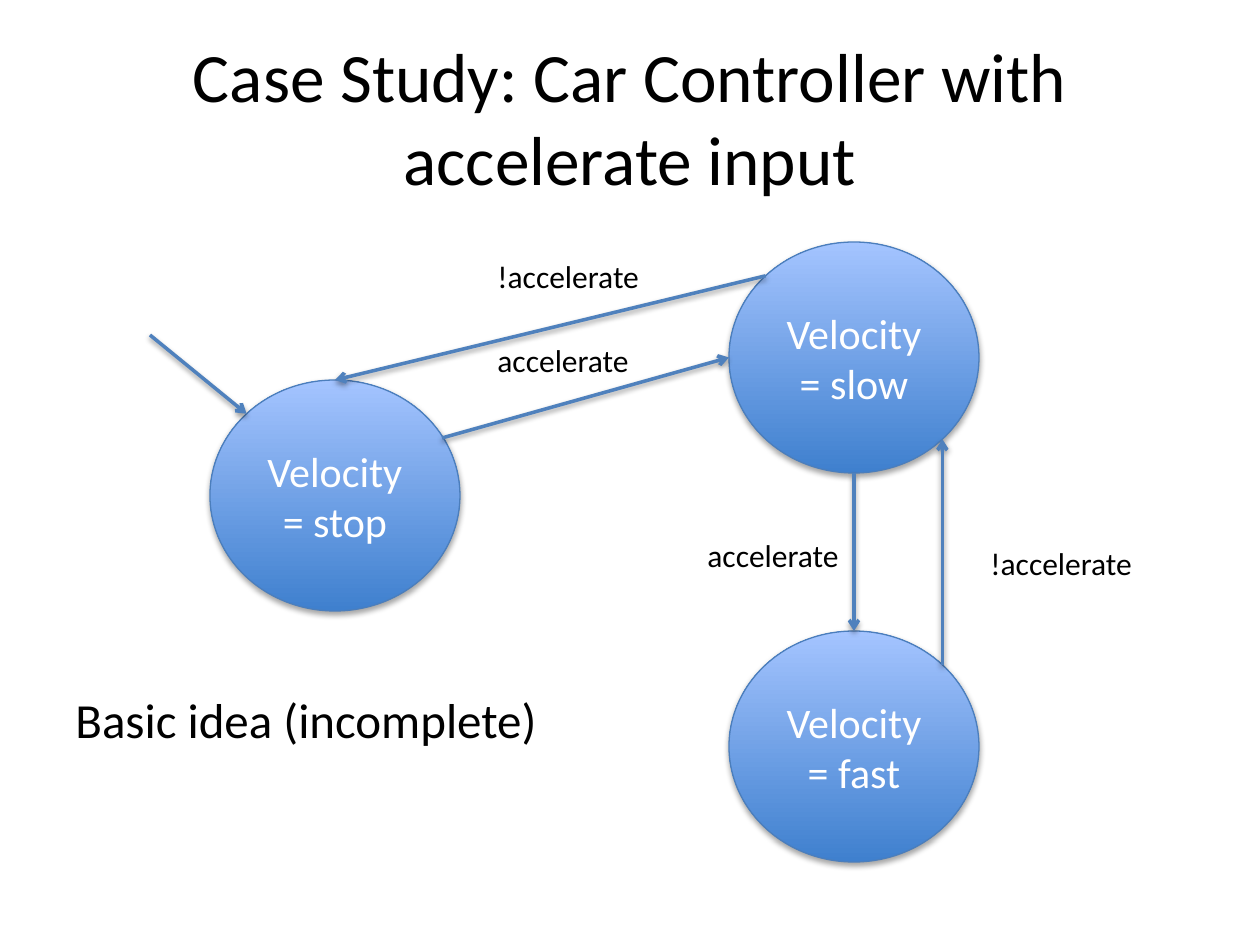
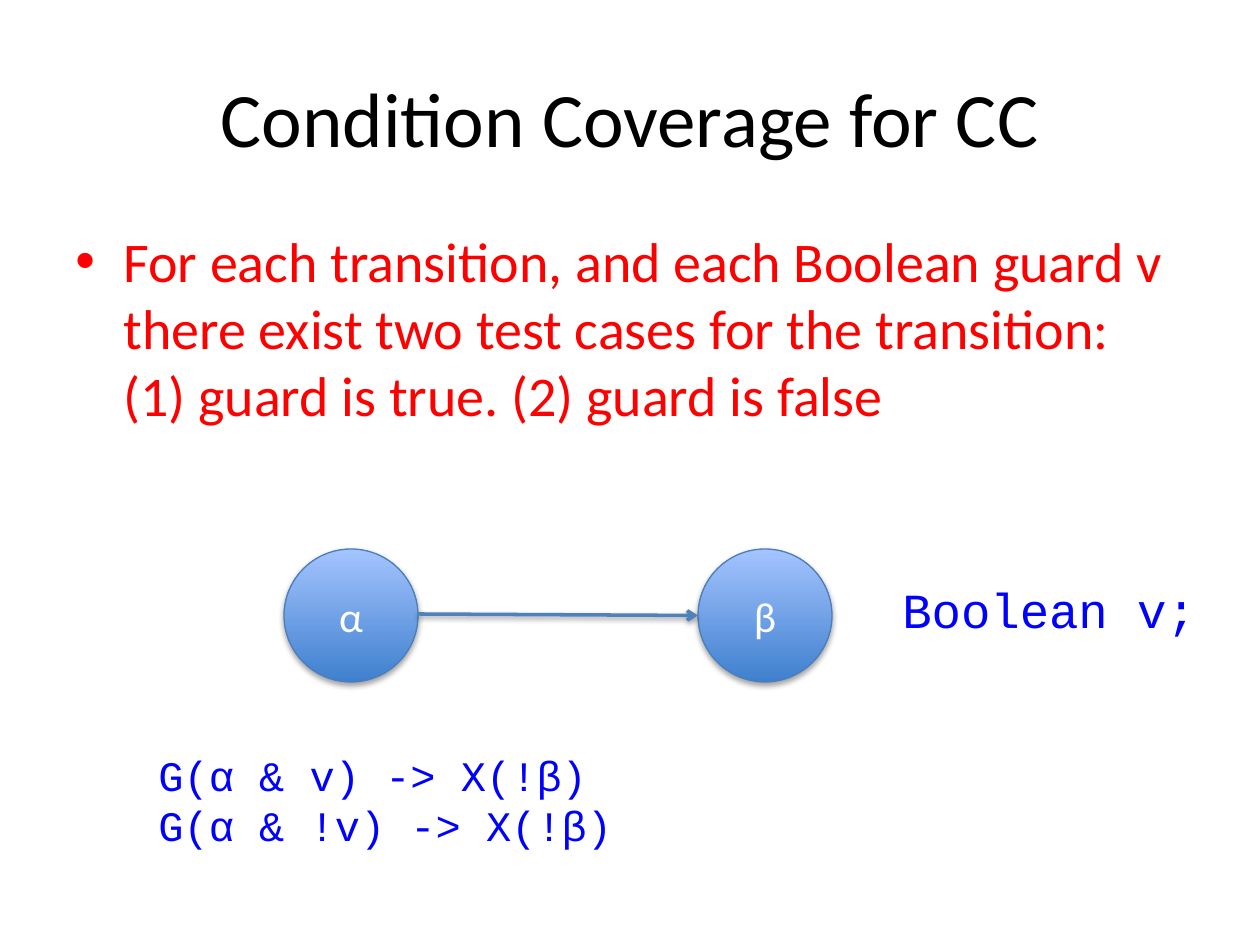
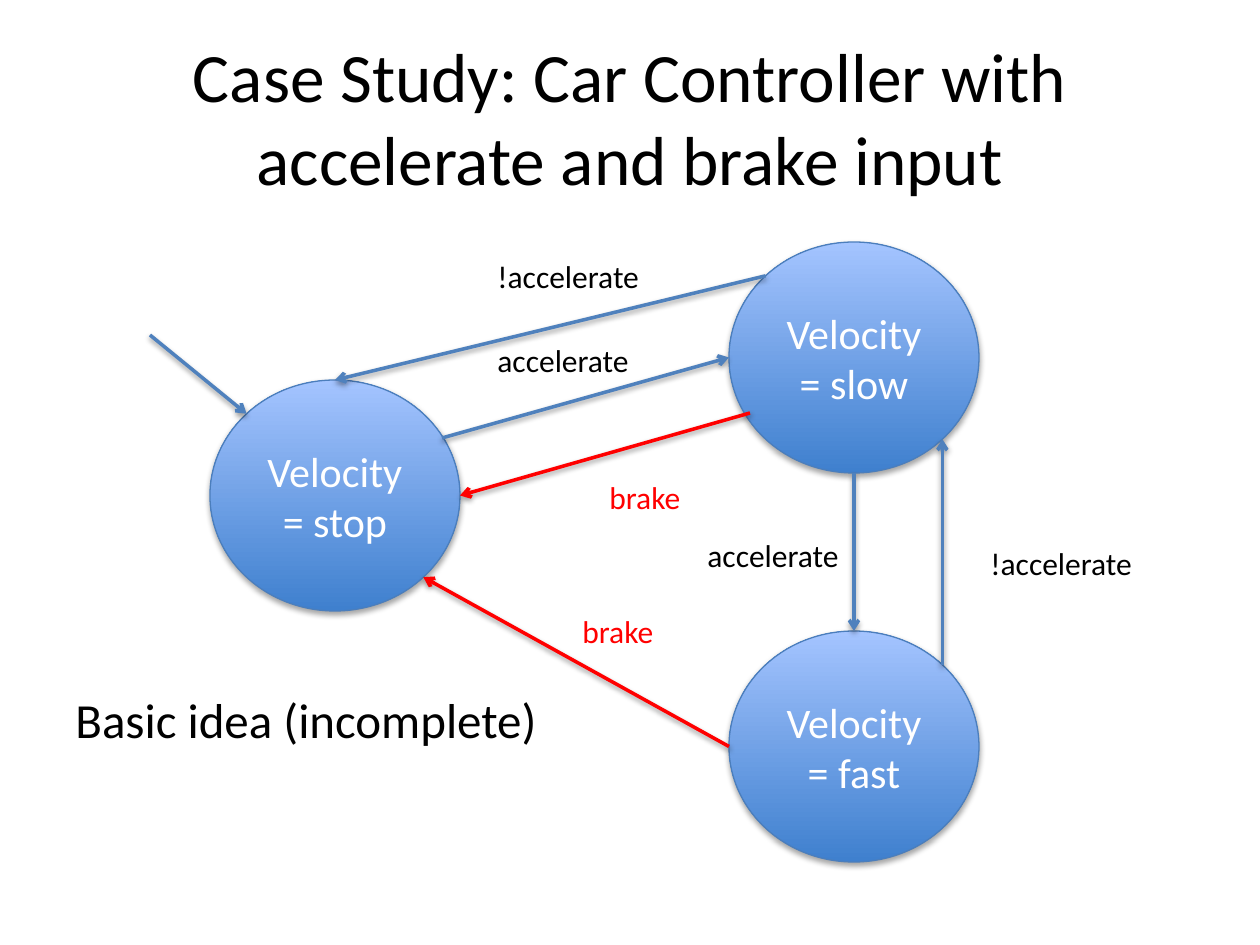
from math import cos, radians, sin

from lxml.etree import SubElement
from pptx import Presentation
from pptx.dml.color import RGBColor
from pptx.enum.shapes import MSO_CONNECTOR, MSO_SHAPE
from pptx.enum.text import MSO_ANCHOR, MSO_AUTO_SIZE, PP_ALIGN
from pptx.oxml.ns import qn
from pptx.util import Pt

STRAIGHT, OVAL = MSO_CONNECTOR.STRAIGHT, MSO_SHAPE.OVAL
TOP, MIDDLE = MSO_ANCHOR.TOP, MSO_ANCHOR.MIDDLE
LEFT, CENTER = PP_ALIGN.LEFT, PP_ALIGN.CENTER
GROW = MSO_AUTO_SIZE.SHAPE_TO_FIT_TEXT

PX = 914400 / 126
COLORS = {
    "text": "000000", "light": "FFFFFF", "alert": "FF0000", "code": "0000FF",
    "arrow": "4F81BD", "edge": "4B7EBC", "low": "3F80CE", "high": "A4C4FF",
}
FORMATS = {
    "title": {"name": "Calibri", "size": 44, "color": "text"},
    "long title": {"name": "Calibri", "size": 39.6, "color": "text"},
    "body": {"name": "Calibri", "size": 32, "color": "alert"},
    "state": {"name": "Calibri", "size": 24, "color": "light"},
    "label": {"name": "Calibri", "size": 18, "color": "text"},
    "alert": {"name": "Calibri", "size": 18, "color": "alert"},
    "note": {"name": "Calibri", "size": 28, "color": "text"},
    "type": {"name": "Courier New", "size": 28, "color": "code"},
    "code": {"name": "Courier New", "size": 24, "color": "code"},
}
TITLE = (63, 38, 1134, 157)
BODY = (63, 220, 1134, 624)

# State: left, top, width, height.
# Arrow end: a point, or a state and its site (0 top, then
# counterclockwise in steps of 45 degrees).
CAR = {
    "states": {
        "Velocity = stop": (210, 380, 250, 231),
        "Velocity = fast": (729, 631, 250, 231),
        "Velocity = slow": (729, 242, 250, 231),
    },
    "arrows": [
        ((442, 438), ("Velocity = slow", 2), "arrow"),
        (("Velocity = slow", 4), ("Velocity = fast", 0), "arrow"),
        (("Velocity = fast", 7), ("Velocity = slow", 5), "arrow"),
        (("Velocity = slow", 1), ("Velocity = stop", 0), "arrow"),
        ((150, 335), ("Velocity = stop", 1), "arrow"),
    ],
    "labels": [
        ("accelerate", (485, 335, 159, 50), "label"),
        ("accelerate", (695, 530, 159, 50), "label"),
        ("!accelerate", (978, 538, 170, 50), "label"),
        ("!accelerate", (485, 251, 170, 50), "label"),
        ("Basic idea (incomplete)", (63, 683, 534, 72), "note"),
    ],
}
BRAKE = {
    "states": {},
    "arrows": [
        (("Velocity = fast", 2), ("Velocity = stop", 5), "alert"),
        ((750, 413), ("Velocity = stop", 6), "alert"),
    ],
    "labels": [
        ("brake", (570, 606, 98, 50), "alert"),
        ("brake", (597, 472, 98, 50), "alert"),
    ],
}
GUARD = {
    "states": {"α": (284, 549, 134, 133), "β": (698, 549, 134, 133)},
    "arrows": [((418, 614), ("β", 2), "arrow")],
    "labels": [
        ("Boolean v;", (890, 573, 323, 72), "type"),
        ("G(α & v) -> X(!β)\nG(α & !v) -> X(!β)", (146, 743, 886, 152), "code"),
    ],
}
SLIDES = [
    ("Case Study: Car Controller with accelerate input", "long title", "", [CAR]),
    ("Condition Coverage for CC", "title",
     "For each transition, and each Boolean guard v there exist two test cases "
     "for the transition: (1) guard is true. (2) guard is false", [GUARD]),
    ("Case Study: Car Controller with accelerate and brake input", "long title",
     "", [CAR, BRAKE]),
]


def emu(*lengths):
    return [round(n * PX) for n in lengths]


def rgb(key):
    return RGBColor.from_string(COLORS[key])


def put(frame, text, style, align=LEFT, anchor=TOP, bullet=False):
    """Fill a text frame with styled lines."""
    frame.word_wrap = True
    frame.vertical_anchor = anchor
    frame.text = text
    for para in frame.paragraphs:
        para.alignment = align
        if bullet:
            props = para._p.get_or_add_pPr()
            props.set("marL", str(emu(48)[0]))
            props.set("indent", str(emu(-48)[0]))
            SubElement(props, qn("a:buFont"), typeface="Arial")
            SubElement(props, qn("a:buChar"), char="•")
        for run in para.runs:
            for key, value in FORMATS[style].items():
                if key == "color":
                    run.font.color.rgb = rgb(value)
                else:
                    setattr(run.font, key, Pt(value) if key == "size" else value)


def add_text(slide, text, box, style, **options):
    frame = slide.shapes.add_textbox(*emu(*box)).text_frame
    put(frame, text, style, **options)
    return frame


def shade(part, alpha, dist):
    """Drop a soft shadow straight down; the line must be set before."""
    effects = SubElement(part._element.spPr, qn("a:effectLst"))
    shadow = SubElement(effects, qn("a:outerShdw"), blurRad="40000",
                        dist=str(dist), dir="5400000", rotWithShape="0")
    color = SubElement(shadow, qn("a:srgbClr"), val=COLORS["text"])
    SubElement(color, qn("a:alpha"), val=str(alpha * 1000))


def add_state(slide, name, box):
    state = slide.shapes.add_shape(OVAL, *emu(*box))
    state.fill.gradient()
    state.fill.gradient_angle = 90
    for stop, key in zip(state.fill.gradient_stops, ("low", "high")):
        stop.color.rgb = rgb(key)
    state.line.color.rgb = rgb("edge")
    state.line.width = Pt(0.75)
    shade(state, 35, 23000)
    put(state.text_frame, name, "state", CENTER, MIDDLE)
    return state


def locate(end, states):
    """Give the place of an arrow end in EMU."""
    if end[0] not in states:
        return emu(*end)
    state, turn = states[end[0]], radians(90 + 45 * end[1])
    return (round(state.left + state.width * (1 + cos(turn)) / 2),
            round(state.top + state.height * (1 - sin(turn)) / 2))


def add_arrow(slide, start, end, color, states):
    arrow = slide.shapes.add_connector(
        STRAIGHT, *locate(start, states), *locate(end, states))
    arrow.line.color.rgb = rgb(color)
    arrow.line.width = Pt(2)
    SubElement(arrow._element.spPr.find(qn("a:ln")), qn("a:tailEnd"), type="arrow")
    shade(arrow, 38, 20000)
    joints = arrow._element.nvCxnSpPr.cNvCxnSpPr
    for tag, (name, site) in (("a:stCxn", start), ("a:endCxn", end)):
        if name in states:
            SubElement(joints, qn(tag), id=str(states[name].shape_id), idx=str(site))


def main():
    deck = Presentation()
    deck.slide_width, deck.slide_height = emu(1260, 945)
    for title, style, body, graphs in SLIDES:
        slide = deck.slides.add_slide(deck.slide_layouts[6])
        add_text(slide, title, TITLE, style, align=CENTER, anchor=MIDDLE)
        if body:
            add_text(slide, body, BODY, "body", bullet=True)
        states = {}
        for graph in graphs:
            for name, box in graph["states"].items():
                states[name] = add_state(slide, name, box)
            for start, end, color in graph["arrows"]:
                add_arrow(slide, start, end, color, states)
            for text, box, look in graph["labels"]:
                frame = add_text(slide, text, box, look)
                frame.auto_size = GROW
                frame.word_wrap = look in ("note", "code")
    deck.save("out.pptx")


if __name__ == "__main__":
    main()
